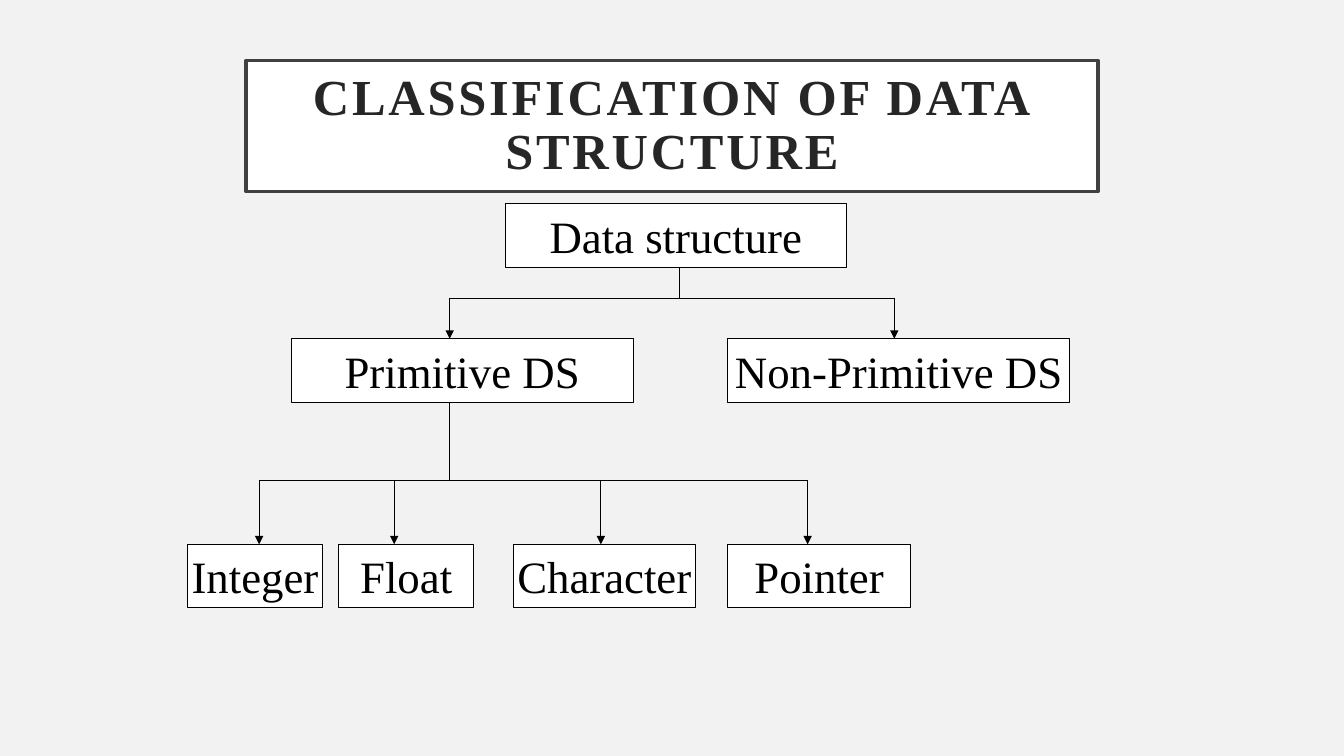
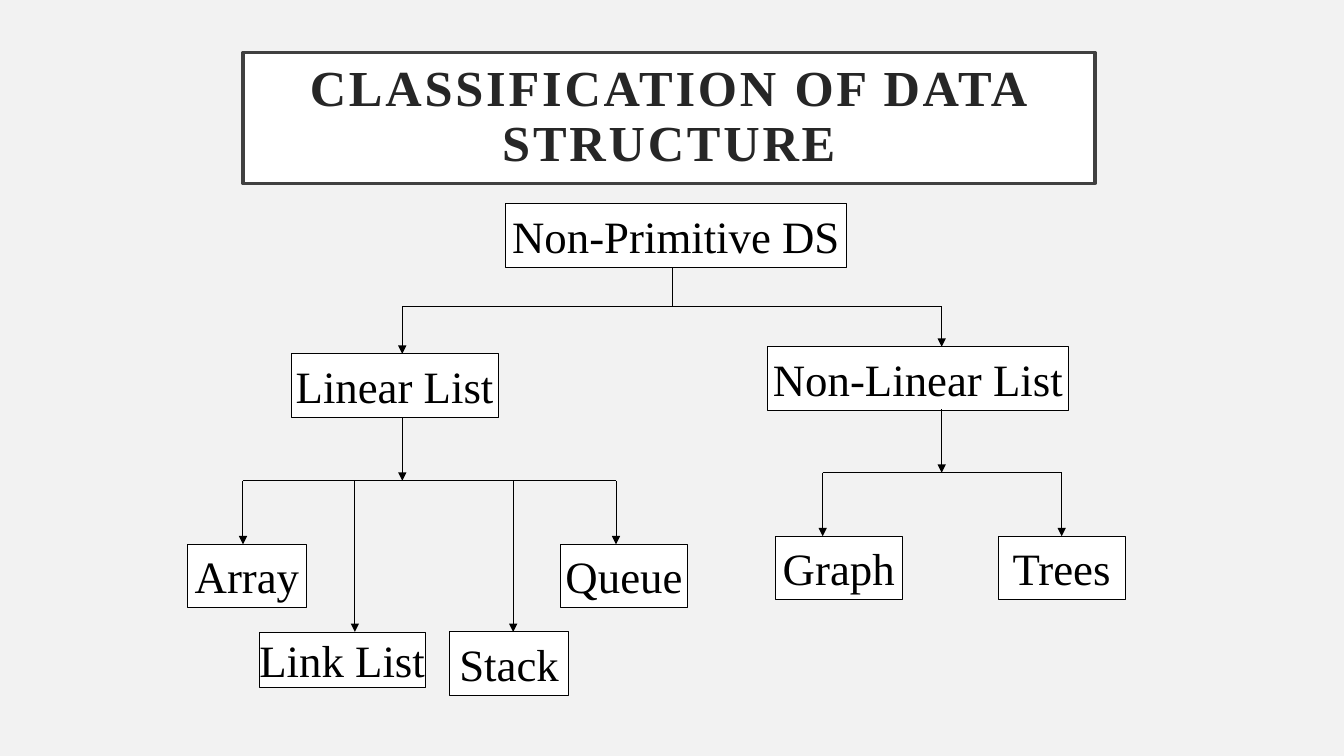
"""Build two slides that classify data structures as tree diagrams."""
from dataclasses import dataclass
from lxml.etree import SubElement
from pptx import Presentation
from pptx.dml.color import RGBColor
from pptx.enum.shapes import MSO_CONNECTOR as Connector, MSO_SHAPE as Shape
from pptx.enum.text import MSO_ANCHOR as Anchor, PP_ALIGN as Align
from pptx.oxml.ns import qn
from pptx.util import Inches, Pt


@dataclass(frozen=True)
class BoxStyle:
    text_color: RGBColor
    line_color: RGBColor
    line_width: float
    size: int
    bold: bool
    wrap: bool
    side_inset: float
    end_inset: float
    line_spacing: float
    letter_spacing: int


@dataclass(frozen=True)
class Theme:
    font = "Times New Roman"
    background = RGBColor(0xF2, 0xF2, 0xF2)
    box_fill = RGBColor(0xFF, 0xFF, 0xFF)
    ink = RGBColor(0, 0, 0)
    line_width = 0.75
    title = BoxStyle(RGBColor(0x26, 0x26, 0x26), RGBColor(0x40, 0x40, 0x40),
                     2.5, 36, True, True, 0.2, 0.2, 0.9, 200)
    node = BoxStyle(ink, ink, line_width, 32, False, False, 0.1, 0.05, 1.0, 0)


theme = Theme()
TITLE = "CLASSIFICATION OF DATA STRUCTURE"
TITLE_SIZE = (8.45, 1.3)
NODE_HEIGHT = 0.63


def add_box(slide, text, bounds, style):
    shape = slide.shapes.add_shape(Shape.RECTANGLE, *map(Inches, bounds))
    shape.shadow.inherit = False
    shape.fill.solid()
    shape.fill.fore_color.rgb = theme.box_fill
    shape.line.color.rgb = style.line_color
    shape.line.width = Pt(style.line_width)
    frame = shape.text_frame
    frame.text = text
    frame.word_wrap = style.wrap
    frame.vertical_anchor = Anchor.MIDDLE
    frame.margin_left = frame.margin_right = Inches(style.side_inset)
    frame.margin_top = frame.margin_bottom = Inches(style.end_inset)
    paragraph = frame.paragraphs[0]
    paragraph.alignment = Align.CENTER
    paragraph.line_spacing = style.line_spacing
    run = paragraph.runs[0]
    run.font.name = theme.font
    run.font.size = Pt(style.size)
    run.font.bold = style.bold
    run.font.color.rgb = style.text_color
    run.font._element.set("spc", str(style.letter_spacing))


def add_line(slide, start, end, arrow=False):
    connector = slide.shapes.add_connector(
        Connector.STRAIGHT, *map(Inches, (*start, *end)))
    connector.line.color.rgb = theme.ink
    connector.line.width = Pt(theme.line_width)
    if arrow:
        SubElement(connector.line._get_or_add_ln(), qn("a:tailEnd"), type="triangle")
    SubElement(connector._element.spPr, qn("a:effectLst"))


# Nodes: text, left, top, width, height.
# Branches: trunk x, trunk top, bar y, trunk arrow, and (x, y) of each tip.
diagrams = [
    {
        "title_at": (2.44, 0.6),
        "nodes": [
            ("Data structure", 5.01, 2.02, 3.39, NODE_HEIGHT),
            ("Primitive DS", 2.89, 3.36, 3.39, NODE_HEIGHT),
            ("Non-Primitive DS", 7.22, 3.36, 3.39, NODE_HEIGHT),
            ("Integer", 1.86, 5.4, 1.34, NODE_HEIGHT),
            ("Float", 3.36, 5.4, 1.34, NODE_HEIGHT),
            ("Character", 5.09, 5.4, 1.81, NODE_HEIGHT),
            ("Pointer", 7.22, 5.4, 1.81, NODE_HEIGHT),
        ],
        "branches": [
            (6.74, 2.65, 2.96, False, [(4.46, 3.36), (8.87, 3.36)]),
            (4.46, 3.99, 4.77, False,
             [(2.57, 5.4), (3.91, 5.4), (5.96, 5.4), (8.01, 5.4)]),
        ],
    },
    {
        "title_at": (2.41, 0.52),
        "nodes": [
            ("Non-Primitive DS", 5.01, 2.02, 3.39, NODE_HEIGHT),
            ("Linear List", 2.89, 3.51, 2.05, NODE_HEIGHT),
            ("Non-Linear List", 7.61, 3.44, 2.99, NODE_HEIGHT),
            ("Array", 1.86, 5.4, 1.18, NODE_HEIGHT),
            ("Link List", 2.57, 6.27, 1.65, 0.55),
            ("Stack", 4.46, 6.27, 1.18, NODE_HEIGHT),
            ("Queue", 5.56, 5.4, 1.26, NODE_HEIGHT),
            ("Graph", 7.69, 5.32, 1.26, NODE_HEIGHT),
            ("Trees", 9.9, 5.32, 1.26, NODE_HEIGHT),
        ],
        "branches": [
            (6.67, 2.65, 3.04, False, [(3.99, 3.51), (9.34, 3.44)]),
            (3.99, 4.14, 4.77, True,
             [(2.41, 5.4), (3.52, 6.27), (5.09, 6.27), (6.11, 5.4)]),
            (9.34, 4.06, 4.69, True, [(8.16, 5.32), (10.53, 5.32)]),
        ],
    },
]

presentation = Presentation()
presentation.slide_width = Inches(13.33)
presentation.slide_height = Inches(7.5)
background = presentation.slide_master.background.fill
background.solid()
background.fore_color.rgb = theme.background

for diagram in diagrams:
    slide = presentation.slides.add_slide(presentation.slide_layouts[6])
    add_box(slide, TITLE, (*diagram["title_at"], *TITLE_SIZE), theme.title)
    for text, *bounds in diagram["nodes"]:
        add_box(slide, text, bounds, theme.node)
    for trunk_x, trunk_top, bar_y, trunk_arrow, tips in diagram["branches"]:
        add_line(slide, (trunk_x, trunk_top), (trunk_x, bar_y), trunk_arrow)
        add_line(slide, (tips[0][0], bar_y), (tips[-1][0], bar_y))
        for tip_x, tip_y in tips:
            add_line(slide, (tip_x, bar_y), (tip_x, tip_y), arrow=True)

presentation.save("out.pptx")
